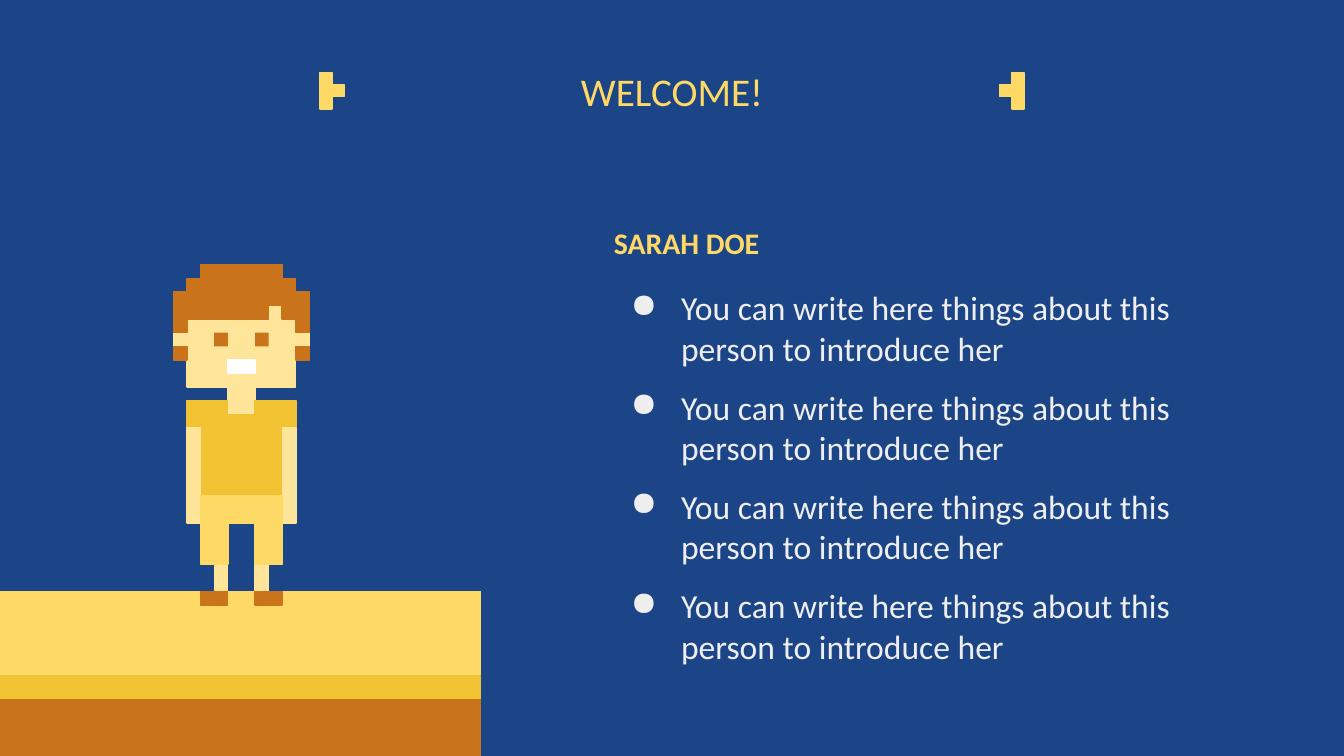
from dataclasses import dataclass

from lxml import etree
from pptx import Presentation
from pptx.dml.color import RGBColor
from pptx.enum import shapes, text
from pptx.oxml import ns
from pptx.util import Pt


@dataclass(frozen=True)
class Theme:
    font: str = "Calibri"
    blue: str = "1C4587"
    light: str = "FFD966"
    gold: str = "F1C232"
    brown: str = "C9741B"
    skin: str = "FFE599"
    white: str = "FFFFFF"
    pale: str = "EEEEEE"
    title: int = 21
    name: int = 16
    body: int = 18
    line: float = 0.75


T = Theme()
W, H = 720, 405


def paint(shape, color, edge=True):
    shape.shadow.inherit = False
    shape.fill.solid()
    shape.fill.fore_color.rgb = RGBColor.from_string(color)
    if edge:
        shape.line.color.rgb = RGBColor.from_string(color)
        shape.line.width = Pt(T.line)
    else:
        shape.line.fill.background()


def rect(tree, x, y, w, h, color, edge=True):
    shape = tree.add_shape(shapes.MSO_SHAPE.RECTANGLE, Pt(x), Pt(y), Pt(w), Pt(h))
    paint(shape, color, edge)


def write(slide, box, lines, size, color, anchor, align=None, bold=False):
    x, y, w, h = box
    frame = slide.shapes.add_textbox(Pt(x), Pt(y), Pt(w), Pt(h)).text_frame
    frame.word_wrap = True
    frame.vertical_anchor = anchor
    frame.margin_left = frame.margin_right = Pt(7.2)
    frame.margin_top = frame.margin_bottom = Pt(7.2)
    frame.text = "\n".join(lines)
    for para in frame.paragraphs:
        para.alignment = align
        for run in para.runs:
            run.font.name = T.font
            run.font.size = Pt(size)
            run.font.bold = bold
            run.font.color.rgb = RGBColor.from_string(color)
    return frame


def bullet(para, color):
    props = para._p.get_or_add_pPr()
    props.set("marL", str(Pt(36)))
    props.set("indent", str(Pt(-27)))
    tint = etree.SubElement(props, ns.qn("a:buClr"))
    etree.SubElement(tint, ns.qn("a:srgbClr")).set("val", color)
    etree.SubElement(props, ns.qn("a:buChar")).set("char", "●")


def ground(slide, x, y, w):
    tree = slide.shapes.add_group_shape().shapes
    for top, high, color in (
        (0, 44.64, T.light),
        (45.36, 12.24, T.gold),
        (58.32, H - y - 58.32, T.brown),
    ):
        rect(tree, x, y + top, w, high, color)


def figure(slide, x, y, cell):
    """Pixel person on a grid of 10 columns and 25 rows."""
    tree = slide.shapes.add_group_shape().shapes

    def block(col, row, wide, high, color, edge=True):
        rect(tree, x + col * cell, y + row * cell, wide * cell, high * cell, color, edge)

    def outline(points, color):
        pen = tree.build_freeform(*points[0], scale=Pt(cell))
        pen.add_line_segments(points[1:], close=True)
        paint(pen.convert_to_shape(Pt(x), Pt(y)), color)

    # Legs, then head with ears and neck
    for col in (6, 3):
        block(col, 22, 1, 2, T.skin)
    outline([(7, 3), (7, 4), (1, 4), (1, 5), (0, 5), (0, 6), (1, 6), (1, 9),
             (4, 9), (4, 11), (6, 11), (6, 9), (9, 9), (9, 6), (10, 6),
             (10, 5), (9, 5), (9, 4), (8, 4), (8, 3)], T.skin)
    # Shirt
    outline([(1, 10), (1, 12), (2, 12), (2, 17), (8, 17), (8, 12), (9, 12),
             (9, 10), (6, 10), (6, 11), (4, 11), (4, 10)], T.gold)
    # Eyes and mouth
    for col in (6, 3):
        block(col, 5, 1, 1, T.brown, edge=False)
    block(4, 7, 2, 1, T.white)
    # Arms and shoes
    for col in (8, 1):
        block(col, 12, 1, 7, T.skin)
    for col in (6, 2):
        block(col, 24, 2, 1, T.brown)
    # Hair
    outline([(2, 0), (2, 1), (1, 1), (1, 2), (0, 2), (0, 5), (1, 5), (1, 4),
             (7, 4), (7, 3), (8, 3), (8, 4), (9, 4), (9, 5), (10, 5), (10, 2),
             (9, 2), (9, 1), (8, 1), (8, 0)], T.brown)
    # Shorts
    outline([(2, 17), (2, 22), (4, 22), (4, 19), (6, 19), (6, 22), (8, 22),
             (8, 17)], T.light)
    # Hair below the ears
    for col in (0, 9):
        block(col, 6, 1, 1, T.brown)


def arrow(slide, x, y, cell, flip=False):
    tree = slide.shapes.add_group_shape().shapes
    for col, row in ((0, 2), (0, 1), (0, 0), (1, 1)):
        side = 1 - col if flip else col
        rect(tree, x + side * cell, y + row * cell, cell, cell, T.light)


def header(slide, x, y, w, h):
    write(slide, (x, y, w, h), ["WELCOME!"], T.title, T.light,
          text.MSO_ANCHOR.BOTTOM, text.PP_ALIGN.CENTER)
    # Arrows at equal distance from both sides
    cell, inset, top = 6.5, 146.9, 15.84
    arrow(slide, x + inset, y + top, cell)
    arrow(slide, x + w - inset - 2 * cell, y + top, cell, flip=True)


def profile(slide, x, y, w):
    write(slide, (x, y, 244, 97.2), ["SARAH DOE"], T.name, T.light,
          text.MSO_ANCHOR.BOTTOM, bold=True)
    line = "You can write here things about this person to introduce her"
    frame = write(slide, (x, y + 105.1, w, 200.9), [line] * 4, T.body, T.pale,
                  text.MSO_ANCHOR.MIDDLE)
    for spot, para in enumerate(frame.paragraphs):
        bullet(para, T.pale)
        if spot:
            para.space_before = Pt(10)
    para.space_after = Pt(10)


def main():
    deck = Presentation()
    deck.slide_width, deck.slide_height = Pt(W), Pt(H)
    slide = deck.slides.add_slide(deck.slide_layouts[6])
    back = slide.background.fill
    back.solid()
    back.fore_color.rgb = RGBColor.from_string(T.blue)

    ground(slide, 0, 316.8, 257.5)
    figure(slide, 92.9, 141.8, 7.29)
    header(slide, 24.5, 23, 671, 45.4)
    profile(slide, 321.8, 49.7, 337.7)
    deck.save("out.pptx")


if __name__ == "__main__":
    main()
